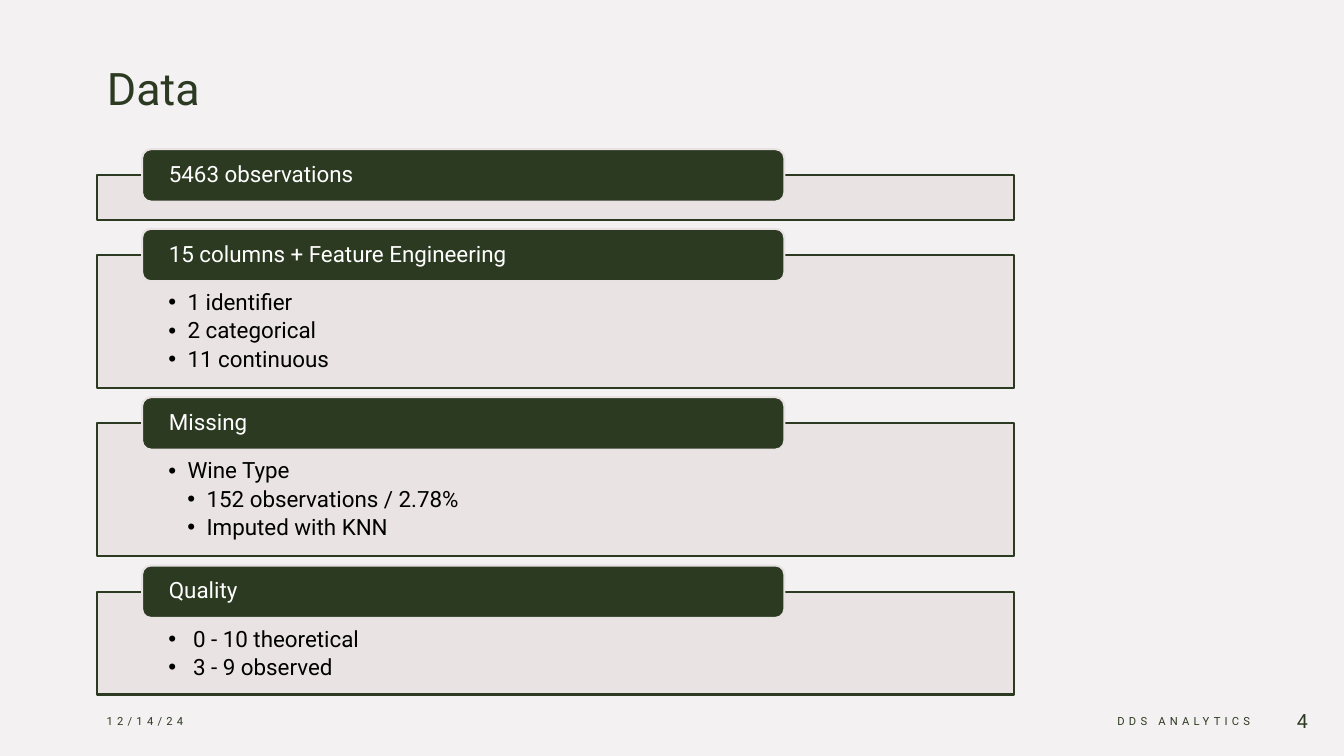
import pptx
import pptx.util
import pptx.dml.color
import pptx.enum.shapes
import pptx.enum.text
import pptx.oxml.ns
import lxml.etree

Inches, Pt = pptx.util.Inches, pptx.util.Pt
RGB = pptx.dml.color.RGBColor
ALIGN, ANCHOR = pptx.enum.text.PP_ALIGN, pptx.enum.text.MSO_ANCHOR
SHAPE = pptx.enum.shapes.MSO_SHAPE
qn = pptx.oxml.ns.qn

# Content: heading, panel height, list of (level, text)
TITLE = "Data"
SECTIONS = [
    ("5463 observations", 0.44, []),
    ("15 columns + Feature Engineering", 1.32,
     [(0, "1 identifier"), (0, "2 categorical"), (0, "11 continuous")]),
    ("Missing", 1.32,
     [(0, "Wine Type"), (1, "152 observations / 2.78%"), (1, "Imputed with KNN")]),
    ("Quality", 1.02, [(0, " 0 - 10 theoretical"), (0, " 3 - 9 observed")]),
]
# Footer: text, left, width, size, alignment, letter spacing in points
FOOTER = [
    ("12/14/24", 0.96, 3, 8, ALIGN.LEFT, 3),
    ("DDS ANALYTICS", 7.8, 4.7, 8, ALIGN.RIGHT, 3),
    ("4", 12.5, 0.57, 14, ALIGN.RIGHT, 0),
]

# Format
FONT = "Roboto"
GREEN, PANEL = RGB(0x2C, 0x3A, 0x21), RGB(0xE8, 0xE2, 0xE3)
PAPER, WHITE, BLACK = RGB(0xF4, 0xF1, 0xF2), RGB(255, 255, 255), RGB(0, 0, 0)
LEFT, TOP, PANEL_W, GAP = 0.96, 1.74, 9.1, 0.35
TAB_LEFT, TAB_W, TAB_H, TAB_RISE = 1.41, 6.37, 0.52, 0.26
FOOT_TOP, FOOT_H = 6.95, 0.4
INDENT = 0.19


def place(s, *box):
    for name, value in zip(("left", "top", "width", "height"), box):
        setattr(s, name, Inches(value))


def paint(s, fill, line, alpha=100):
    s.fill.solid()
    s.fill.fore_color.rgb = fill
    s.line.color.rgb = line
    s.line.width = Pt(1.5)
    s.shadow.inherit = False
    if alpha < 100:
        color = s.fill._xPr.find(qn("a:solidFill"))[0]
        lxml.etree.SubElement(color, qn("a:alpha")).set("val", str(alpha * 1000))


def frame(s, anchor, insets):
    tf = s.text_frame
    tf.word_wrap = True
    tf.auto_size = pptx.enum.text.MSO_AUTO_SIZE.NONE
    tf.vertical_anchor = anchor
    for side, value in zip(("left", "top", "right", "bottom"), insets):
        setattr(tf, "margin_" + side, Inches(value))
    return tf


def write(p, text, size, color, **para):
    para = {"alignment": ALIGN.LEFT, "space_before": Pt(0), "space_after": Pt(0), **para}
    for name, value in para.items():
        setattr(p, name, value)
    r = p.add_run()
    r.text = text
    font = {"name": FONT, "size": Pt(size), "bold": False}
    for name, value in font.items():
        setattr(r.font, name, value)
    r.font.color.rgb = color
    return r


def add_bullet(p, level):
    pPr = p._p.get_or_add_pPr()
    pPr.set("marL", str(Inches(INDENT * (level + 1))))
    pPr.set("indent", str(-Inches(INDENT)))
    lxml.etree.SubElement(pPr, qn("a:buFont")).set("typeface", "Arial")
    lxml.etree.SubElement(pPr, qn("a:buChar")).set("char", "•")


def main():
    prs = pptx.Presentation()
    prs.slide_width, prs.slide_height = Inches(13.33), Inches(7.5)
    slide = prs.slides.add_slide(prs.slide_layouts[4])
    slide.background.fill.solid()
    slide.background.fill.fore_color.rgb = PAPER

    # Title
    title = slide.shapes.title
    place(title, LEFT, 0.55, 3.98, 0.59)
    tf = frame(title, ANCHOR.TOP, (0.1, 0.05, 0.1, 0.05))
    write(tf.paragraphs[0], TITLE, 32, GREEN)

    # Panels with lists, each under a heading tab
    bodies = [s for s in slide.placeholders if s.placeholder_format.idx > 0]
    top = TOP
    for heading, height, items in SECTIONS:
        box = (LEFT, top, PANEL_W, height)
        if items:
            panel = bodies.pop(0)
            place(panel, *box)
            tf = frame(panel, ANCHOR.TOP, (0.71, 0.36, 0.71, 0.12))
            for i, (level, text) in enumerate(items):
                p = tf.add_paragraph() if i else tf.paragraphs[0]
                write(p, text, 16, BLACK, level=level, line_spacing=0.9, space_after=Pt(3))
                add_bullet(p, level)
        else:
            panel = slide.shapes.add_shape(SHAPE.RECTANGLE, *map(Inches, box))
        paint(panel, PANEL, GREEN, alpha=90)

        tab = slide.shapes.add_shape(
            SHAPE.ROUNDED_RECTANGLE,
            *map(Inches, (TAB_LEFT, top - TAB_RISE, TAB_W, TAB_H)))
        paint(tab, GREEN, PANEL)
        tf = frame(tab, ANCHOR.MIDDLE, (0.24, 0, 0.24, 0))
        write(tf.paragraphs[0], heading, 16, WHITE, line_spacing=0.9)
        top += height + GAP

    for s in bodies:
        s.element.getparent().remove(s.element)

    # Footer
    for text, left, width, size, align, spacing in FOOTER:
        s = slide.shapes.add_textbox(*map(Inches, (left, FOOT_TOP, width, FOOT_H)))
        tf = frame(s, ANCHOR.MIDDLE, (0.1, 0.05, 0.1, 0.05))
        r = write(tf.paragraphs[0], text, size, GREEN, alignment=align, space_after=Pt(6))
        if spacing:
            r.font._element.set("spc", str(spacing * 100))

    prs.save("out.pptx")


if __name__ == "__main__":
    main()
